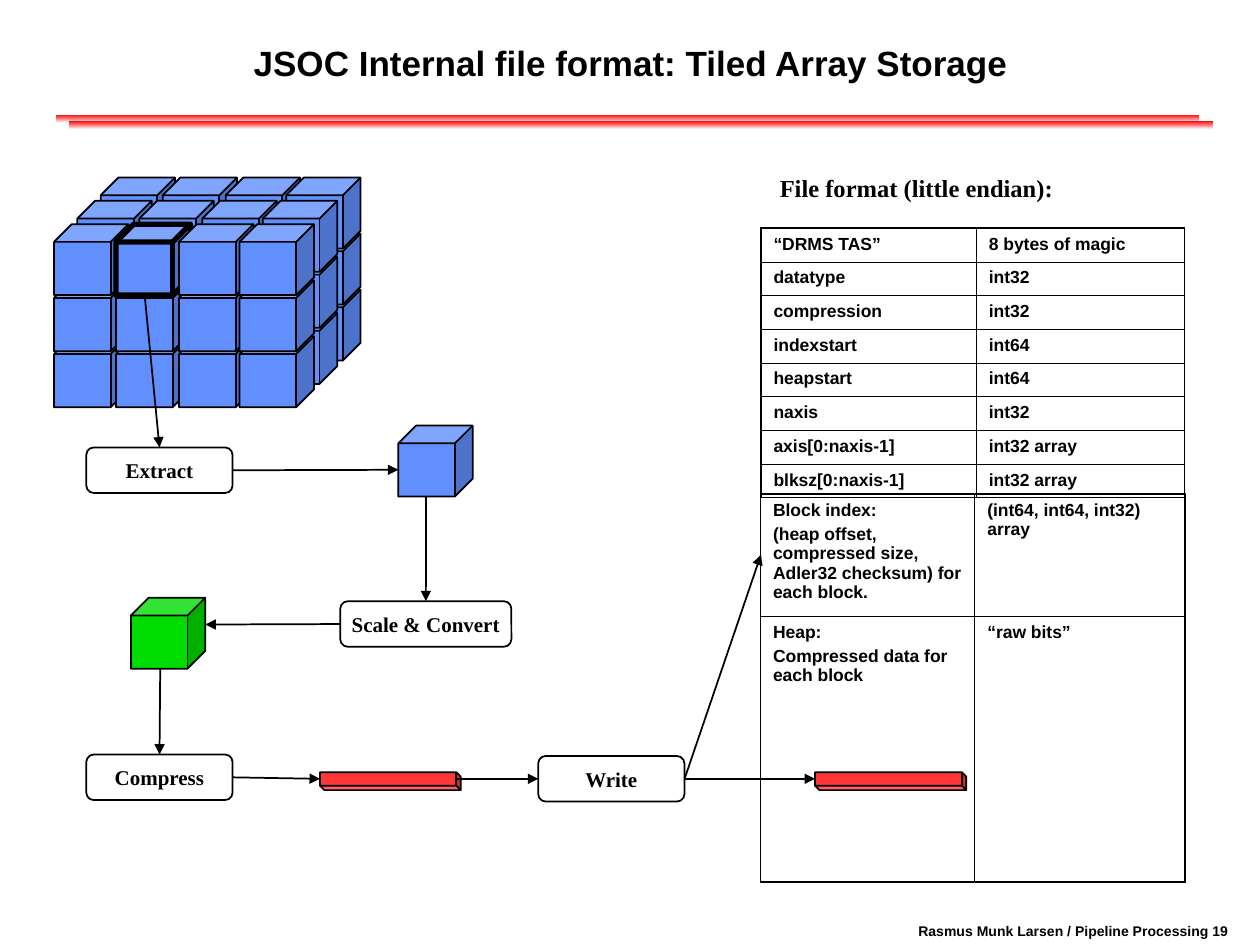
from pptx import Presentation, util as u
from pptx.dml.color import RGBColor
from pptx.enum import shapes, text
from pptx.oxml.ns import qn
from lxml import etree


class Theme:
    ink, paper = "000000", "FFFFFF"
    blue, green, red, rule = "618FFD", "00DC00", "FF3737", "FF0000"
    sans, serif = "Arial", "Times New Roman"
    title, head, step, cell, foot = 20, 14, 12, 10, 8
    thin, line, edge, bold = 0.45, 1, 1.08, 3


TITLE = "JSOC Internal file format: Tiled Array Storage"
HEAD = "File format (little endian):"
FOOT = "Rasmus Munk Larsen / Pipeline Processing 19"

FIELDS = [
    (["“DRMS TAS”"], ["8 bytes of magic"]),
    (["datatype"], ["int32"]),
    (["compression"], ["int32"]),
    (["indexstart"], ["int64"]),
    (["heapstart"], ["int64"]),
    (["naxis"], ["int32"]),
    (["axis[0:naxis-1]"], ["int32 array"]),
    (["blksz[0:naxis-1]"], ["int32 array"]),
]
BLOCKS = [
    (["Block index:", "(heap offset, compressed size, Adler32 checksum) for each block."],
     ["(int64, int64, int32) array"]),
    (["Heap:", "Compressed data for each block"], ["“raw bits”"]),
]
TABLES = [
    (15.34, 4.6, [4.34, 4.2], [0.67] * 8, FIELDS),
    (15.33, 9.96, [4.32, 4.24], [2.46, 5.36], BLOCKS),
]

RULES = [(1.12, 2.31), (1.4, 2.44)]
COLS = [1.09, 2.34, 3.61, 4.83]
FRONT, LAYER, SHIFT = 4.52, 1.13, 0.47
CUBE = (1.5, 1.43)
PICK = (0, 0, 1)

LONE = [(8.03, 8.58, Theme.blue), (2.64, 12.05, Theme.green)]
BARS = [(6.45, 15.57, 2.84), (16.43, 15.57, 3.05)]
STEPS = {
    "Extract": (1.74, 9.02, 2.95),
    "Scale & Convert": (6.86, 12.12, 3.45),
    "Compress": (1.74, 15.21, 2.95),
    "Write": (10.85, 15.24, 2.95),
}
STEP_H = 0.92
ARROWS = [
    ((2.92, 5.99), ("Extract", 0)),
    (("Extract", 3), (8.03, 9.47)),
    ((8.59, 10.01), ("Scale & Convert", 0)),
    (("Scale & Convert", 1), (4.14, 12.59)),
    ((3.23, 13.48), ("Compress", 0)),
    (("Compress", 3), (6.45, 15.7)),
    ((9.22, 15.7), ("Write", 1)),
    (("Write", 3), (16.43, 15.7)),
    (("Write", 3), (15.34, 11.18)),
]


def cms(*nums):
    return [u.Cm(n) for n in nums]


def rgb(hue):
    return RGBColor.from_string(hue)


def write(par, words, size, font):
    run = par.add_run()
    run.text = words
    run.font.size, run.font.name, run.font.bold = u.Pt(size), font, True
    run.font.color.rgb = rgb(Theme.ink)


def shape(kind, area, fill=None, width=Theme.line):
    item = slide.shapes.add_shape(kind, *cms(*area))
    item.shadow.inherit = False
    if fill:
        item.fill.solid()
        item.fill.fore_color.rgb = rgb(fill)
    else:
        item.fill.background()
    item.line.color.rgb = rgb(Theme.ink)
    item.line.width = u.Pt(width)
    return item


def cube(x, y, fill, width=Theme.line, size=CUBE):
    return shape(shapes.MSO_SHAPE.CUBE, (x, y, *size), fill, width)


def label(area, words, size, font, align):
    frame = slide.shapes.add_textbox(*cms(*area)).text_frame
    frame.word_wrap = False
    frame.vertical_anchor = text.MSO_ANCHOR.MIDDLE
    frame.paragraphs[0].alignment = align
    write(frame.paragraphs[0], words, size, font)


def border(cell, sides):
    props = cell._tc.get_or_add_tcPr()
    for spot, (side, width) in enumerate(sides.items()):
        line = etree.Element(qn("a:ln" + side), w=str(u.Pt(width)))
        fill = etree.SubElement(line, qn("a:solidFill"))
        etree.SubElement(fill, qn("a:srgbClr"), val=Theme.ink)
        props.insert(spot, line)


def grid(x, y, cols, rows, data):
    area = cms(x, y, sum(cols), sum(rows))
    table = slide.shapes.add_table(len(rows), len(cols), *area).table
    table.first_row = table.horz_banding = False
    for col, wide in zip(table.columns, cols):
        col.width = u.Cm(wide)
    for r, (row, high) in enumerate(zip(table.rows, rows)):
        row.height = u.Cm(high)
        for c, cell in enumerate(row.cells):
            cell.fill.background()
            ends = {"L": c == 0, "R": c == len(cols) - 1,
                    "T": r == 0, "B": r == len(rows) - 1}
            border(cell, {k: Theme.edge if end else Theme.thin for k, end in ends.items()})
            for n, words in enumerate(data[r][c]):
                frame = cell.text_frame
                par = frame.add_paragraph() if n else frame.paragraphs[0]
                par.space_before = u.Pt(2.5)
                write(par, words, Theme.cell, Theme.sans)


def spot(end):
    return (0, 0) if isinstance(end[0], str) else end


def arrow(start, stop):
    item = slide.shapes.add_connector(
        shapes.MSO_CONNECTOR.STRAIGHT, *cms(*spot(start), *spot(stop)))
    for end, join in ((start, item.begin_connect), (stop, item.end_connect)):
        if isinstance(end[0], str):
            join(steps[end[0]], end[1])
    item.line.color.rgb = rgb(Theme.ink)
    item.line.width = u.Pt(Theme.line)
    etree.SubElement(item.line._get_or_add_ln(), qn("a:tailEnd"), type="triangle")
    etree.SubElement(item._element.spPr, qn("a:effectLst"))


deck = Presentation()
deck.slide_width, deck.slide_height = cms(25.4, 19.05)
slide = deck.slides.add_slide(deck.slide_layouts[5])

label((17.12, 18.47, 7.9, 0.58), FOOT, Theme.foot, Theme.sans, text.PP_ALIGN.RIGHT)

for x, y in RULES:
    rule = shape(shapes.MSO_SHAPE.RECTANGLE, (x, y, 23.06, 0.17))
    rule.line.fill.background()
    rule.fill.gradient()
    rule.fill.gradient_angle = 270
    for stop, hue in zip(rule.fill.gradient_stops, (Theme.rule, Theme.paper)):
        stop.color.rgb = rgb(hue)

title = slide.shapes.title
title.left, title.top, title.width, title.height = cms(2.54, 0.2, 20.35, 2.11)
title.text_frame.auto_size = text.MSO_AUTO_SIZE.NONE
title.text_frame.vertical_anchor = text.MSO_ANCHOR.MIDDLE
title.text_frame.paragraphs[0].alignment = text.PP_ALIGN.CENTER
write(title.text_frame.paragraphs[0], TITLE, Theme.title, Theme.sans)

for layer in (2, 1, 0):
    for depth in (2, 1, 0):
        for c, x in enumerate(COLS):
            width = Theme.bold if (layer, depth, c) == PICK else Theme.line
            cube(x + depth * SHIFT, FRONT + layer * LAYER - depth * SHIFT, Theme.blue, width)
for spec_row in LONE:
    cube(*spec_row)

for parts in TABLES:
    grid(*parts)
label((15.47, 3.35, 6.02, 0.86), HEAD, Theme.head, Theme.serif, text.PP_ALIGN.LEFT)

for x, y, wide in BARS:
    bar = cube(x, y, Theme.red, size=(wide, 0.36))
    bar._element.spPr.xfrm.set("flipV", "1")

steps = {}
for name, (x, y, wide) in STEPS.items():
    step = shape(shapes.MSO_SHAPE.ROUNDED_RECTANGLE, (x, y, wide, STEP_H))
    step.text_frame.word_wrap = False
    step.text_frame.vertical_anchor = text.MSO_ANCHOR.MIDDLE
    step.text_frame.paragraphs[0].alignment = text.PP_ALIGN.CENTER
    write(step.text_frame.paragraphs[0], name, Theme.step, Theme.serif)
    steps[name] = step

for ends in ARROWS:
    arrow(*ends)

deck.save("out.pptx")
